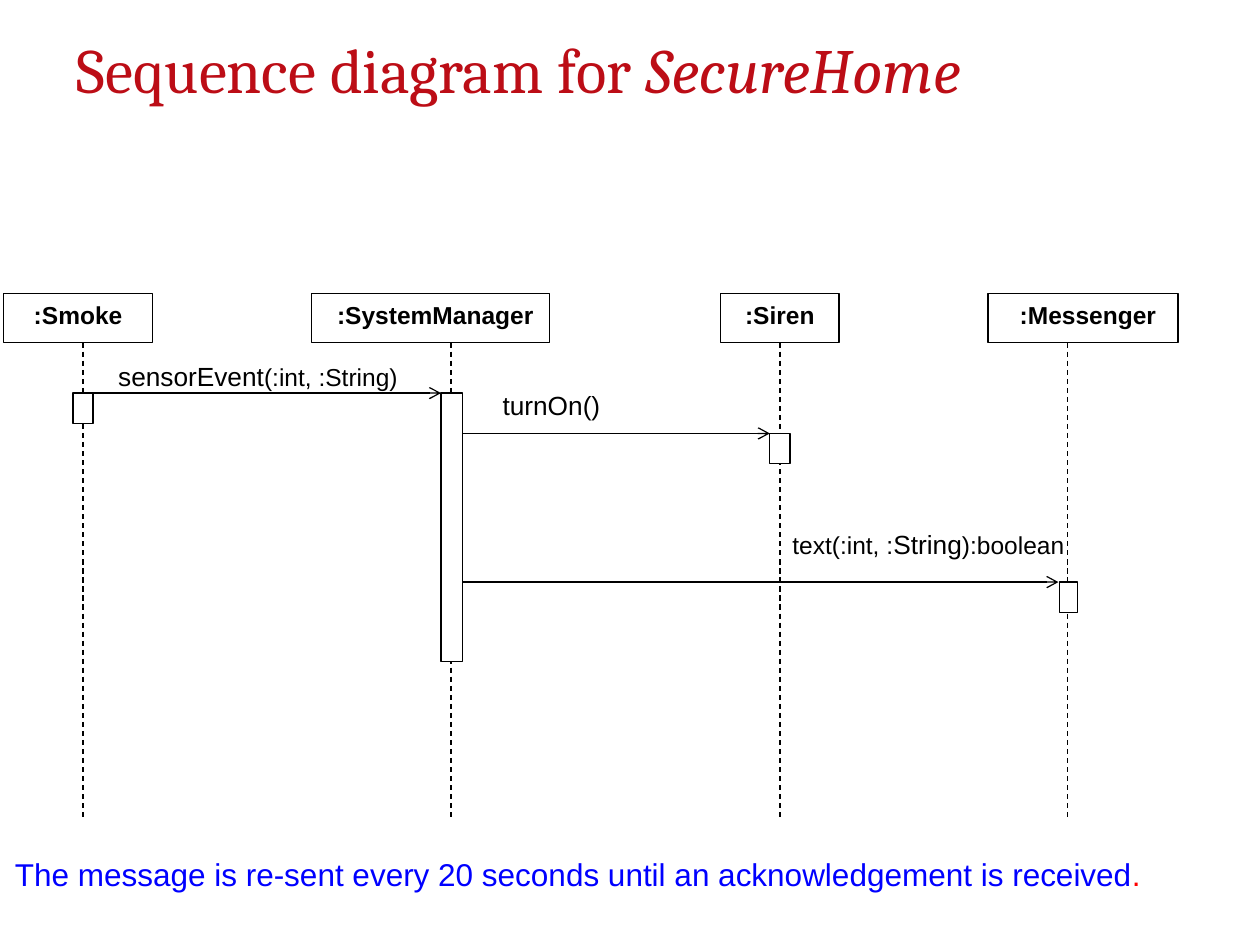
import pptx
import pptx.util
import pptx.dml.color
import pptx.enum.dml
import pptx.enum.shapes
import pptx.enum.text
from dataclasses import dataclass
from lxml import etree

Inches = pptx.util.Inches
Pt = pptx.util.Pt
PP_ALIGN = pptx.enum.text.PP_ALIGN
ANCHOR = pptx.enum.text.MSO_ANCHOR
A = "{http://schemas.openxmlformats.org/drawingml/2006/main}"


@dataclass(frozen=True)
class Theme:
    ink: str = "000000"
    paper: str = "FFFFFF"
    title: str = "BC0D16"
    note: str = "0000FF"
    stop: str = "FF0000"
    heading_font: str = "Cambria"
    body_font: str = "Arial"
    title_size: int = 36
    note_size: int = 18
    call_size: int = 15
    label_size: int = 14
    stroke: float = 0.75


class SequenceSlide:
    def __init__(self, prs, theme):
        self.theme = theme
        self.s = prs.slides.add_slide(prs.slide_layouts[5])

    def runs(self, p, parts, **base):
        for text, changes in parts:
            r = p.add_run()
            r.text = text
            style = {"name": self.theme.body_font, "color": self.theme.ink, **base, **changes}
            r.font.color.rgb = pptx.dml.color.RGBColor.from_string(style.pop("color"))
            style["size"] = Pt(style["size"])
            for key, value in style.items():
                setattr(r.font, key, value)

    def title(self, box, parts):
        sp = self.s.shapes.title
        sp.left, sp.top, sp.width, sp.height = map(Inches, box)
        tf = sp.text_frame
        settings = {"vertical_anchor": ANCHOR.TOP, "margin_top": Inches(0.03),
                    "auto_size": pptx.enum.text.MSO_AUTO_SIZE.NONE}
        for key, value in settings.items():
            setattr(tf, key, value)
        p = tf.paragraphs[0]
        p.alignment = PP_ALIGN.LEFT
        self.runs(p, parts, name=self.theme.heading_font,
                  size=self.theme.title_size, color=self.theme.title)

    def text(self, box, parts, align=PP_ALIGN.LEFT, **base):
        tf = self.s.shapes.add_textbox(*map(Inches, box)).text_frame
        tf.word_wrap = True
        p = tf.paragraphs[0]
        p.alignment = align
        self.runs(p, parts, **base)

    def stroke(self, line):
        line.color.rgb = pptx.dml.color.RGBColor.from_string(self.theme.ink)
        line.width = Pt(self.theme.stroke)

    def box(self, box, filled=False):
        sp = self.s.shapes.add_shape(pptx.enum.shapes.MSO_SHAPE.RECTANGLE, *map(Inches, box))
        sp.shadow.inherit = False
        if filled:
            sp.fill.solid()
            sp.fill.fore_color.rgb = pptx.dml.color.RGBColor.from_string(self.theme.paper)
        else:
            sp.fill.background()
        self.stroke(sp.line)

    def line(self, start, end, dashed=False, arrow=False):
        c = self.s.shapes.add_connector(pptx.enum.shapes.MSO_CONNECTOR.STRAIGHT,
                                        *map(Inches, start + end))
        self.stroke(c.line)
        if dashed:
            c.line.dash_style = pptx.enum.dml.MSO_LINE.DASH
        if arrow:
            etree.SubElement(c.line._get_or_add_ln(), A + "tailEnd", type="arrow")
        etree.SubElement(c._element.spPr, A + "effectLst")

    def participant(self, name, head, label, axis, activation):
        top, height, bottom = 2.33, 0.39, 6.51
        self.box((head[0], top, head[1], height))
        self.text((label[0], top, label[1], 0.34), [(name, {})],
                  PP_ALIGN.CENTER, size=self.theme.label_size, bold=True)
        self.line((axis, top + height), (axis, bottom), dashed=True)
        self.box(activation, filled=True)

    def message(self, start, end, y, box, parts):
        self.line((start, y), (end, y), arrow=True)
        self.text(box, parts, size=self.theme.label_size)


def main():
    theme = Theme()
    prs = pptx.Presentation()
    prs.slide_width, prs.slide_height = Inches(10), Inches(7.5)
    slide = SequenceSlide(prs, theme)
    call = {"size": theme.call_size}

    slide.title((0.51, 0.21, 9.01, 0.65),
                [("Sequence diagram for ", {}), ("SecureHome", {"italic": True})])

    participants = [
        (":Smoke", (0.03, 1.18), (0.11, 1.02), 0.66, (0.58, 3.12, 0.16, 0.24)),
        (":SystemManager", (2.47, 1.89), (2.55, 1.81), 3.58, (3.5, 3.12, 0.17, 2.13)),
        (":Siren", (5.72, 0.94), (5.72, 0.94), 6.19, (6.11, 3.44, 0.16, 0.24)),
        (":Messenger", (7.84, 1.51), (7.92, 1.43), 8.47, (8.41, 4.62, 0.14, 0.24)),
    ]
    for participant in participants:
        slide.participant(*participant)

    messages = [
        (0.74, 3.5, 3.12, (0.84, 2.81, 2.5, 0.35),
         [("sensorEvent", call), ("(:int, :String)", {})]),
        (3.67, 6.11, 3.44, (3.89, 3.04, 1.12, 0.35), [("turnOn()", call)]),
        (3.67, 8.4, 4.62, (6.19, 4.14, 2.52, 0.35),
         [("text(:int, :", {}), ("String", call), ("):boolean", {})]),
    ]
    for message in messages:
        slide.message(*message)

    slide.text((0.02, 6.74, 9.53, 0.4),
               [("The message is re-sent every 20 seconds until an acknowledgement is received", {}),
                (".", {"color": theme.stop})],
               size=theme.note_size, color=theme.note)
    prs.save("out.pptx")


if __name__ == "__main__":
    main()
